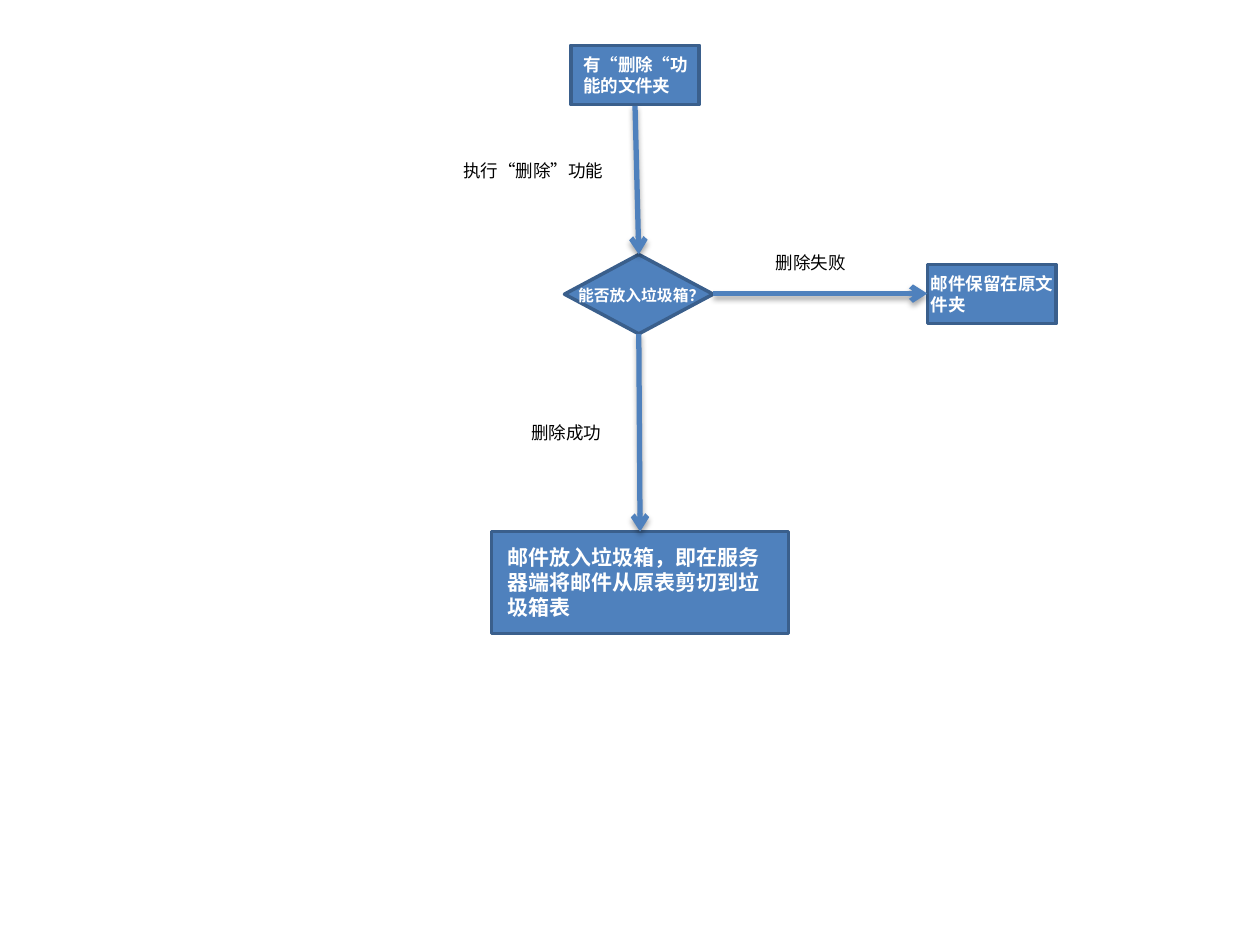
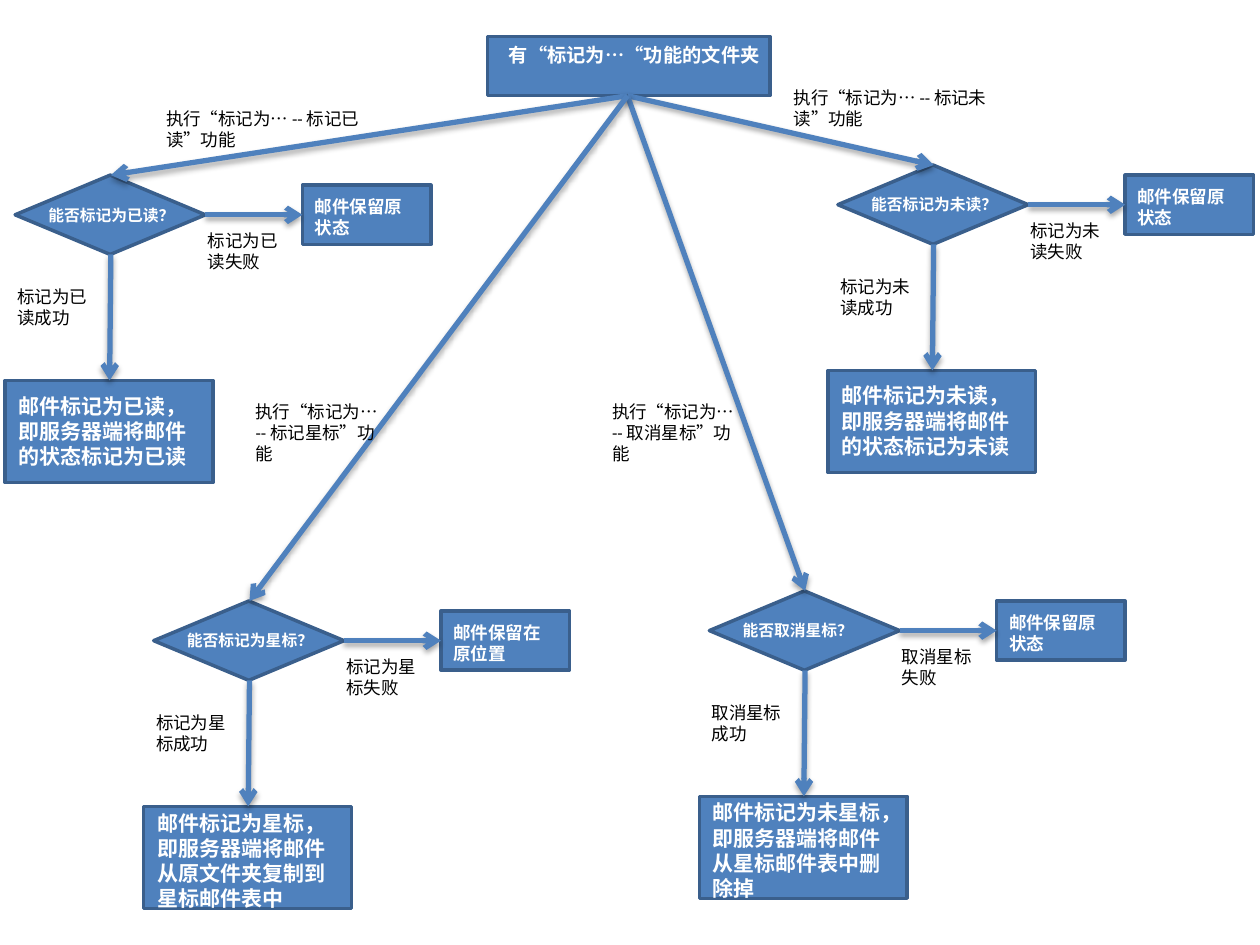
from dataclasses import dataclass

from lxml import etree
from pptx import Presentation
from pptx.dml.color import RGBColor
from pptx.enum.shapes import MSO_CONNECTOR, MSO_SHAPE
from pptx.enum.text import MSO_AUTO_SIZE, PP_ALIGN
from pptx.oxml.ns import qn
from pptx.slide import Slide
from pptx.util import Inches, Pt

RECT, DIAMOND = MSO_SHAPE.RECTANGLE, MSO_SHAPE.DIAMOND
STRAIGHT = MSO_CONNECTOR.STRAIGHT
GROW, LEFT = MSO_AUTO_SIZE.SHAPE_TO_FIT_TEXT, PP_ALIGN.LEFT
COLORS = {"fill": "4F81BD", "edge": "3A5F8C", "white": "FFFFFF",
          "ink": "000000"}
FONT = "Calibri"
COLS, ROWS = 100, 75

deck = Presentation()
deck.slide_width, deck.slide_height = Inches(10), Inches(7.5)
CELL_W, CELL_H = deck.slide_width / COLS, deck.slide_height / ROWS


@dataclass(frozen=True)
class Area:
    col: float
    row: float
    wide: float
    high: float

    def move(self, col: float, row: float) -> "Area":
        return Area(self.col + col, self.row + row, self.wide, self.high)

    def emu(self) -> tuple[int, int, int, int]:
        return (round(self.col * CELL_W), round(self.row * CELL_H),
                round(self.wide * CELL_W), round(self.high * CELL_H))


@dataclass(frozen=True)
class Node:
    kind: int
    area: Area


@dataclass(frozen=True)
class Note:
    text: str
    area: Area
    size: int = 10
    bold: bool = False


@dataclass(frozen=True)
class Link:
    start: tuple[float, float]
    end: tuple[float, float]


@dataclass(frozen=True)
class Branch:
    col: float
    row: float
    ask: str
    passed: str
    failed: str
    done: str
    keep: str
    tall: bool = False


def color(name: str) -> RGBColor:
    return RGBColor.from_string(COLORS[name])


def draw_node(slide: Slide, node: Node) -> None:
    shape = slide.shapes.add_shape(node.kind, *node.area.emu())
    shape.shadow.inherit = False
    shape.fill.solid()
    shape.fill.fore_color.rgb = color("fill")
    shape.line.color.rgb = color("edge")
    shape.line.width = Pt(2)


def draw_note(slide: Slide, note: Note) -> None:
    frame = slide.shapes.add_textbox(*note.area.emu()).text_frame
    frame.word_wrap = True
    frame.auto_size = GROW
    line = frame.paragraphs[0]
    line.text = note.text
    line.alignment = LEFT
    line.font.name = FONT
    line.font.size = Pt(note.size)
    line.font.bold = note.bold
    line.font.color.rgb = color("white" if note.bold else "ink")


def draw_link(slide: Slide, link: Link) -> None:
    ends = [round(value * cell) for point in (link.start, link.end)
            for value, cell in zip(point, (CELL_W, CELL_H))]
    arrow = slide.shapes.add_connector(STRAIGHT, *ends)
    arrow.line.color.rgb = color("fill")
    arrow.line.width = Pt(3)
    props = arrow.line._get_or_add_ln()
    etree.SubElement(props, qn("a:tailEnd"), type="arrow")
    effects = etree.SubElement(arrow._element.spPr, qn("a:effectLst"))
    shadow = etree.SubElement(effects, qn("a:outerShdw"), blurRad="40000",
                              dist="23000", dir="5400000", rotWithShape="0")
    tint = etree.SubElement(shadow, qn("a:srgbClr"), val=COLORS["ink"])
    etree.SubElement(tint, qn("a:alpha"), val="35000")


def draw(slide: Slide, nodes: list[Node], links: list[Link],
         notes: list[Note]) -> None:
    for node in nodes:
        draw_node(slide, node)
    for link in links:
        draw_link(slide, link)
    for note in notes:
        draw_note(slide, note)


def draw_branch(slide: Slide, item: Branch, root: tuple[float, float]) -> None:
    def at(col: float, row: float) -> tuple[float, float]:
        return item.col + col, item.row + row

    def area(col: float, row: float, wide: float, high: float) -> Area:
        return Area(col, row, wide, high).move(item.col, item.row)

    text = area(-0.7, 16.1, 16.3, 9.1) if item.tall else area(
        -0.7, 16.8, 16.3, 7.1)
    draw(slide,
         [Node(DIAMOND, area(0, 0, 15.1, 6.3)),
          Node(RECT, area(22.8, 0.8, 10.2, 4.7)),
          Node(RECT, area(-0.8, 16.3, 16.5, 8.1))],
         [Link(root, at(7.6, 0)),
          Link(at(7.6, 6.3), at(7.5, 16.3)),
          Link(at(15.1, 3.15), at(22.8, 3.15))],
         [Note(item.ask, area(1.65, 1.9, 14.2, 2.5), 9, True),
          Note(item.passed, area(-0.8, 8.3, 8.3, 4.4)),
          Note(item.failed, area(14.3, 3.9, 8.5, 4.4)),
          Note(item.done, text, 12, True),
          Note(item.keep, area(22.8, 1.2, 10.2, 4.4), 10, True)])


def draw_delete(slide: Slide) -> None:
    draw(slide,
         [Node(RECT, Area(45.3, 3.6, 10.2, 4.7)),
          Node(RECT, Area(39, 42.2, 23.6, 8.1)),
          Node(DIAMOND, Area(44.8, 20.2, 11.8, 6.3)),
          Node(RECT, Area(73.6, 21, 10.2, 4.7))],
         [Link((50.4, 8.4), (50.7, 20.2)),
          Link((50.7, 26.5), (50.8, 42.2)),
          Link((56.6, 23.3), (73.6, 23.3))],
         [Note("有“删除“功能的文件夹", Area(45.3, 3.8, 10.9, 4.4), 10, True),
          Note("能否放入垃圾箱？", Area(44.9, 22.2, 10.9, 2.5), 9, True),
          Note("邮件放入垃圾箱，即在服务器端将邮件从原表剪切到垃圾箱表",
               Area(39.3, 42.7, 22.8, 7.1), 12, True),
          Note("邮件保留在原文件夹", Area(72.9, 21.2, 12.6, 4.4), 10, True),
          Note("执行“删除”功能", Area(35.8, 12.2, 14.2, 2.7)),
          Note("删除成功", Area(41.2, 33, 9, 2.7)),
          Note("删除失败", Area(60.6, 19.5, 9, 2.7))])


BRANCHES = [
    Branch(1.2, 13.9, "能否标记为已读？", "标记为已读成功", "标记为已读失败",
           "邮件标记为已读，即服务器端将邮件的状态标记为已读",
           "邮件保留原状态"),
    Branch(66.5, 13.1, "能否标记为未读？", "标记为未读成功", "标记为未读失败",
           "邮件标记为未读，即服务器端将邮件的状态标记为未读",
           "邮件保留原状态"),
    Branch(56.3, 46.9, "能否取消星标？", "取消星标成功", "取消星标失败",
           "邮件标记为未星标，即服务器端将邮件从星标邮件表中删除掉",
           "邮件保留原状态", True),
    Branch(12.2, 47.7, "能否标记为星标？", "标记为星标成功", "标记为星标失败",
           "邮件标记为星标，即服务器端将邮件从原文件夹复制到星标邮件表中",
           "邮件保留在原位置", True),
]


def draw_mark(slide: Slide) -> None:
    draw(slide, [Node(RECT, Area(38.7, 2.9, 22.4, 4.7))], [],
         [Note("有“标记为…“功能的文件夹", Area(39.4, 2.9, 22.4, 2.9), 11, True)])
    for item in BRANCHES:
        draw_branch(slide, item, (49.8, 7.6))
    steps = [("标记已读", Area(12.2, 8.1, 20.8, 4.4)),
             ("标记星标", Area(19.3, 31.3, 11.9, 6.1)),
             ("取消星标", Area(47.6, 31.3, 11.8, 6.1)),
             ("标记未读", Area(62, 6.4, 20.8, 4.4))]
    for name, area in steps:
        draw_note(slide, Note(f"执行“标记为… -- {name}”功能", area))


blank = deck.slide_layouts[6]
for paint in (draw_delete, draw_mark):
    paint(deck.slides.add_slide(blank))
deck.save("out.pptx")
